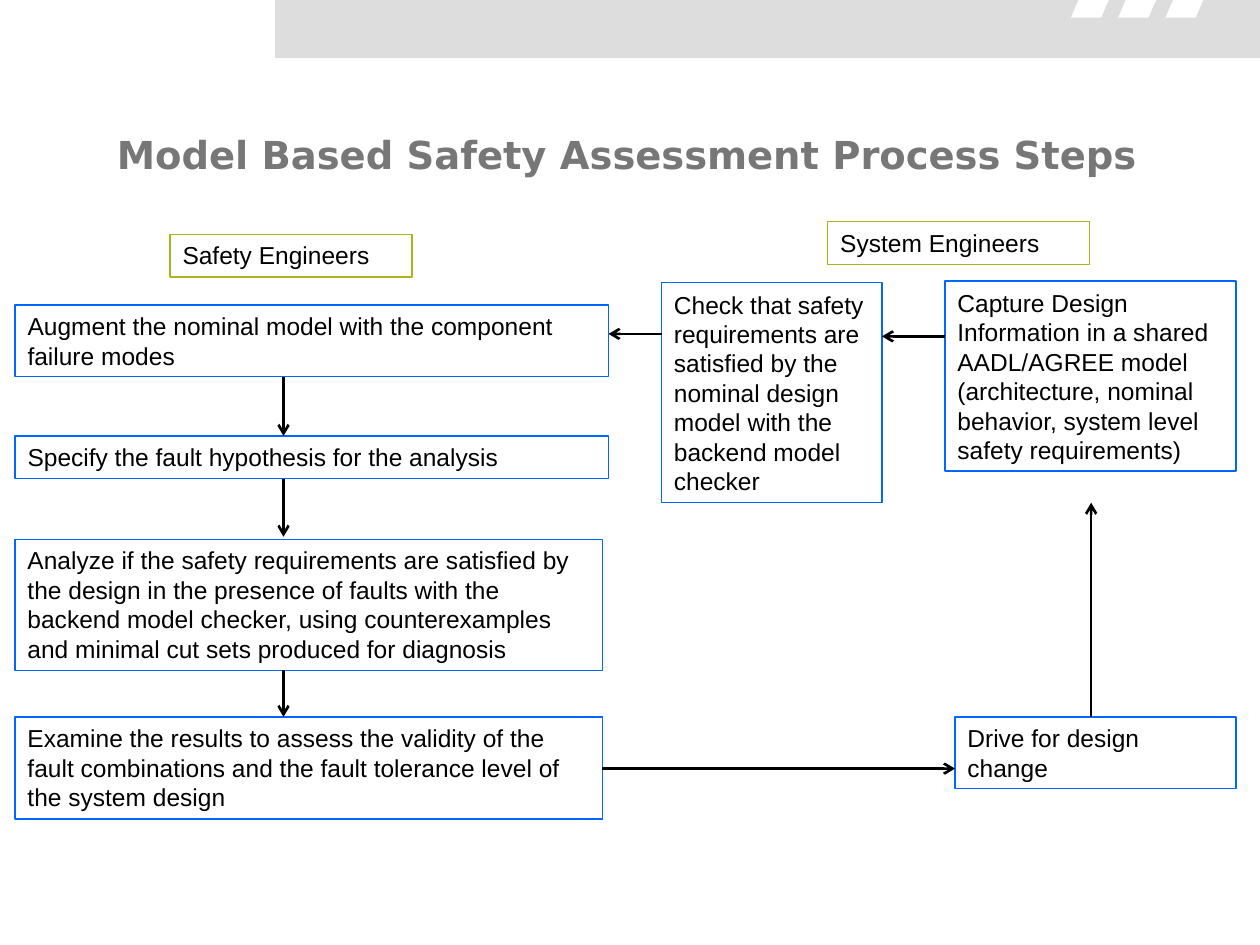
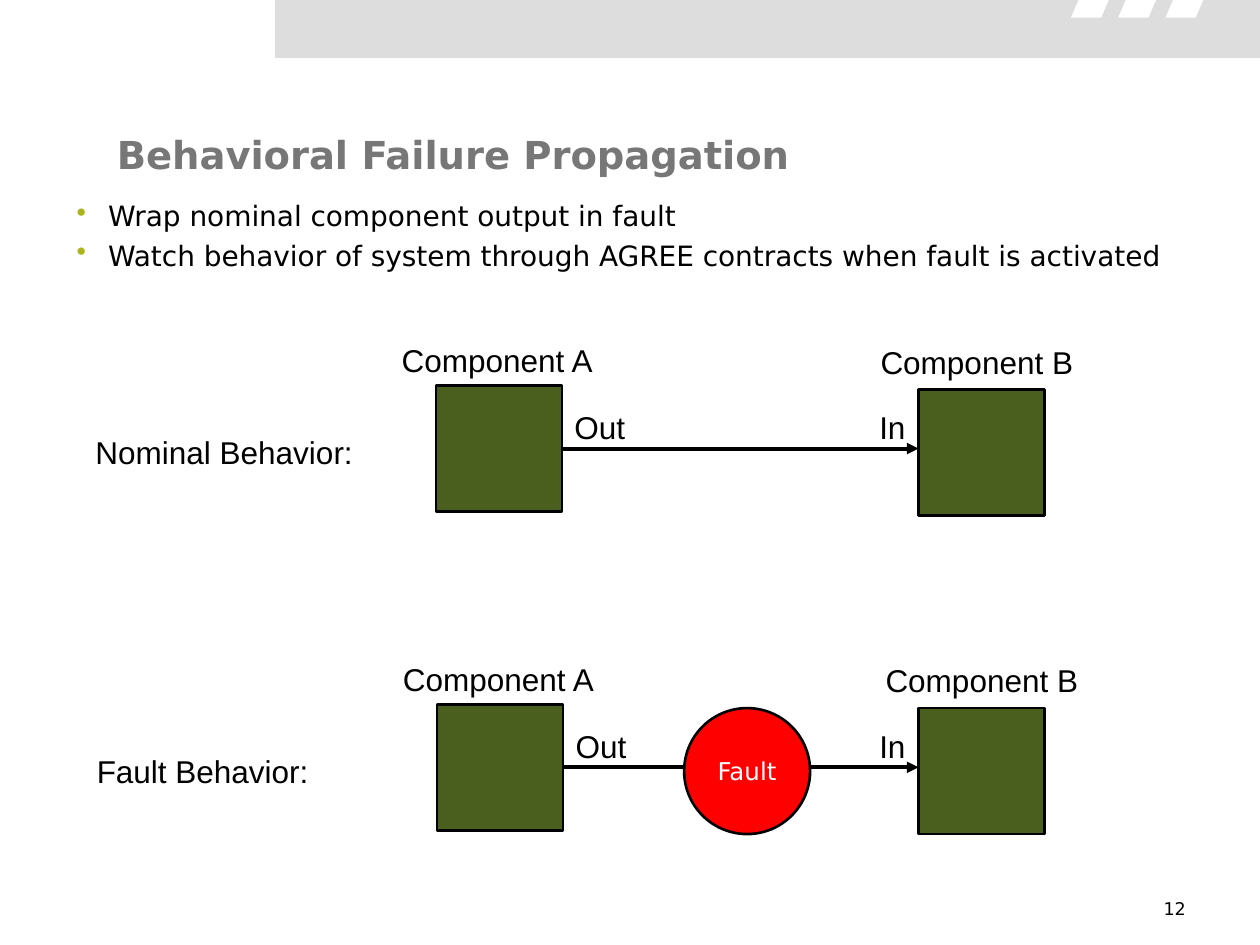
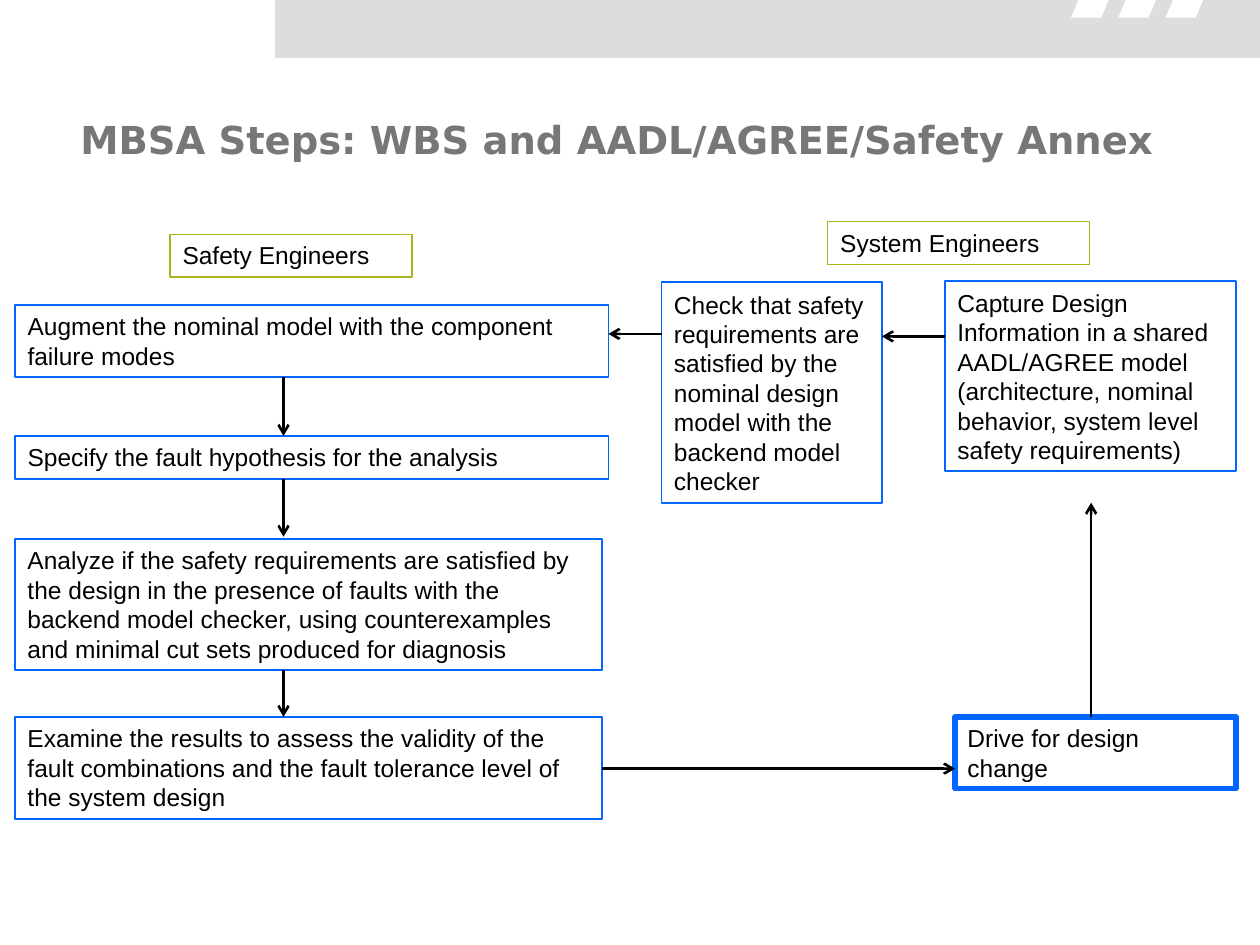
import dataclasses

import lxml.etree
import pptx
import pptx.dml.color
import pptx.enum.shapes
import pptx.enum.text
import pptx.oxml.ns
import pptx.util

SHAPE = pptx.enum.shapes.MSO_SHAPE
ANCHOR = pptx.enum.text.MSO_ANCHOR
ALIGN = pptx.enum.text.PP_ALIGN
Inches = pptx.util.Inches
Pt = pptx.util.Pt
qn = pptx.oxml.ns.qn


@dataclasses.dataclass(frozen=True)
class Theme:
    heading_font: str = "DejaVu Sans"
    body_font: str = "Arial"
    black: str = "000000"
    white: str = "FFFFFF"
    band: str = "DDDDDD"
    title: str = "777777"
    accent: str = "ABB41D"
    step: str = "0066FF"
    component: str = "4A5F1D"
    fault: str = "FF0000"
    title_size: int = 22
    label_size: int = 18
    bullet_size: int = 16
    step_size: int = 14
    number_size: int = 10


T = Theme()
WIDTH, HEIGHT = 10, 7.5
BAND_HEIGHT = 0.46
SLASH_LEFT, SLASH_PITCH, SLASH_COUNT = 8.5, 0.375, 3
FLOW_X = 2.25

ROLES = [
    ("Safety Engineers", (1.35, 1.86, 1.92, 0.34)),
    ("System Engineers", (6.57, 1.76, 2.08, 0.34)),
]

STEPS = {
    "capture": ("Capture Design Information in a shared AADL/AGREE model "
                "(architecture, nominal behavior, system level safety requirements)",
                (7.5, 2.23, 2.31, 1.51)),
    "check": ("Check that safety requirements are satisfied by the nominal design "
              "model with the backend model checker", (5.25, 2.24, 1.75, 1.75)),
    "augment": ("Augment the nominal model with the component failure modes",
                (0.12, 2.42, 4.71, 0.57)),
    "specify": ("Specify the fault hypothesis for the analysis",
                (0.12, 3.46, 4.71, 0.34)),
    "analyze": ("Analyze if the safety requirements are satisfied by the design in "
                "the presence of faults with the backend model checker, using "
                "counterexamples and minimal cut sets produced for diagnosis",
                (0.12, 4.28, 4.66, 1.04)),
    "examine": ("Examine the results to assess the validity of the fault "
                "combinations and the fault tolerance level of the system design",
                (0.12, 5.69, 4.66, 0.81)),
    "drive": ("Drive for design change", (7.58, 5.69, 2.23, 0.57)),
}

FLOWS = [
    ("capture", "check", "left", 2.67, 0),
    ("check", "augment", "left", 2.65, 0),
    ("augment", "specify", "down", FLOW_X, 0),
    ("specify", "analyze", "down", FLOW_X, 0.02),
    ("analyze", "examine", "down", FLOW_X, 0),
    ("examine", "drive", "right", 6.1, 0),
    ("drive", "capture", "up", 8.66, 0.25),
]

PROCESS_SLIDE = {
    "title": "Model Based Safety Assessment Process Steps",
    "title_box": (0.83, 0.95, 8.5, 0.55),
    "weight": 0.75,
    "emphasis": {"capture": 1},
}
ANNEX_SLIDE = {
    "title": "MBSA Steps: WBS and AADL/AGREE/Safety Annex",
    "title_box": (0.54, 0.83, 9, 0.55),
    "weight": 1,
    "emphasis": {"drive": 3},
}
PROPAGATION_SLIDE = {
    "title": "Behavioral Failure Propagation",
    "title_box": PROCESS_SLIDE["title_box"],
    "bullets": [
        "Wrap nominal component output in fault",
        "Watch behavior of system through AGREE contracts when fault is activated",
    ],
    "number": "12",
}

SCENARIOS = [
    {"label": "Nominal Behavior:", "label_box": (0.66, 2.33), "top": 3.06,
     "a_left": 3.46, "b_label_left": 6.89, "fault": None},
    {"label": "Fault Behavior:", "label_box": (0.67, 1.97), "top": 5.59,
     "a_left": 3.47, "b_label_left": 6.93, "fault": "Fault"},
]


def rgb(value):
    return pptx.dml.color.RGBColor.from_string(value)


def write(sp, lines, size, color=T.black, font=T.body_font, bold=False,
          align=ALIGN.LEFT, anchor=ANCHOR.TOP, wrap=True):
    tf = sp.text_frame
    tf.word_wrap = wrap
    tf.vertical_anchor = anchor
    tf.text = "\n".join(lines)
    for p in tf.paragraphs:
        p.alignment = align
        for r in p.runs:
            r.font.name, r.font.size, r.font.bold = font, Pt(size), bold
            r.font.color.rgb = rgb(color)
    return sp


def add_text(s, box, lines, size, **style):
    sp = s.shapes.add_textbox(*map(Inches, box))
    return write(sp, lines, size, **style)


def paint(sp, fill=None, line=None, weight=0.75):
    sp.shadow.inherit = False
    if fill:
        sp.fill.solid()
        sp.fill.fore_color.rgb = rgb(fill)
    else:
        sp.fill.background()
    if line:
        sp.line.color.rgb = rgb(line)
        sp.line.width = Pt(weight)
    else:
        sp.line.fill.background()
    return sp


def add_box(s, kind, box, **look):
    return paint(s.shapes.add_shape(kind, *map(Inches, box)), **look)


def add_outline(s, points, fill):
    (x, y), *rest = [tuple(map(Inches, point)) for point in points]
    builder = s.shapes.build_freeform(x, y)
    builder.add_line_segments(rest, close=True)
    paint(builder.convert_to_shape(), fill=fill)


def add_arrow(s, start, end, weight, head):
    sp = s.shapes.add_connector(pptx.enum.shapes.MSO_CONNECTOR.STRAIGHT,
                                *map(Inches, start + end))
    sp.line.color.rgb = rgb(T.black)
    sp.line.width = Pt(weight)
    properties = sp.element.spPr
    lxml.etree.SubElement(properties.find(qn("a:ln")), qn("a:tailEnd"), type=head)
    lxml.etree.SubElement(properties, qn("a:effectLst"))


def add_bullets(s, box, lines):
    sp = add_text(s, box, lines, T.bullet_size, font=T.heading_font)
    for p in sp.text_frame.paragraphs:
        pPr = p._p.get_or_add_pPr()
        pPr.set("marL", str(Inches(0.26)))
        pPr.set("indent", str(Inches(-0.25)))
        before = lxml.etree.SubElement(pPr, qn("a:spcBef"))
        lxml.etree.SubElement(before, qn("a:spcPct"), val="20000")
        color = lxml.etree.SubElement(pPr, qn("a:buClr"))
        lxml.etree.SubElement(color, qn("a:srgbClr"), val=T.accent)
        lxml.etree.SubElement(pPr, qn("a:buChar"), char="•")


def start_slide(prs, content):
    s = prs.slides.add_slide(prs.slide_layouts[6])
    add_outline(s, [(1.92, BAND_HEIGHT), (WIDTH, BAND_HEIGHT), (WIDTH, 0), (2.12, 0)],
                T.band)
    for i in range(SLASH_COUNT):
        x = SLASH_LEFT + i * SLASH_PITCH
        add_outline(s, [(x, 0.14), (x + 0.06, 0), (x + 0.3, 0), (x + 0.24, 0.14)],
                    T.white)
    add_box(s, SHAPE.RECTANGLE, (0, 0.01, 2.17, 0.48),
            fill=T.white, line=T.white, weight=2)
    add_text(s, content["title_box"], [content["title"]], T.title_size,
             color=T.title, font=T.heading_font, bold=True, anchor=ANCHOR.MIDDLE)
    return s


def flow_ends(source, target, side, position, gap):
    x1, y1, w1, h1 = STEPS[source][1]
    x2, y2, w2, h2 = STEPS[target][1]
    return {
        "left": ((x1, position), (x2 + w2 + gap, position)),
        "right": ((x1 + w1, position), (x2 - gap, position)),
        "down": ((position, y1 + h1), (position, y2 - gap)),
        "up": ((position, y1), (position, y2 + h2 + gap)),
    }[side]


def add_process_slide(prs, content):
    s = start_slide(prs, content)
    for text, box in ROLES:
        write(add_box(s, SHAPE.RECTANGLE, box, line=T.accent), [text], T.step_size)
    for name, (text, box) in STEPS.items():
        weight = content["emphasis"].get(name, content["weight"])
        sp = add_box(s, SHAPE.RECTANGLE, box, line=T.step, weight=weight)
        middle = name in ("capture", "check", "augment")
        write(sp, [text], T.step_size, anchor=ANCHOR.MIDDLE if middle else ANCHOR.TOP)
    for flow in FLOWS:
        add_arrow(s, *flow_ends(*flow), weight=1.5, head="arrow")


def add_scenario(s, scenario):
    top, a_left, b_left = scenario["top"], scenario["a_left"], 7.29
    wire_y = top + 0.5
    for x, y in [(a_left, top), (b_left, top + 0.03)]:
        add_box(s, SHAPE.RECTANGLE, (x, y, 1, 1),
                fill=T.component, line=T.black, weight=1.5)
    add_arrow(s, (a_left + 1, wire_y), (b_left, wire_y), weight=2.25, head="triangle")
    label_left, label_width = scenario["label_box"]
    labels = [
        ("Component A", a_left - 0.37, top - 0.4, 1.73),
        ("Component B", scenario["b_label_left"], top - 0.39, 1.74),
        ("Out", a_left + 1, top + 0.13, 0.61),
        ("In", 6.88, top + 0.13, 0.41),
        (scenario["label"], label_left, top + 0.33, label_width),
    ]
    for text, x, y, w in labels:
        add_text(s, (x, y, w, 0.4), [text], T.label_size, wrap=False)
    if scenario["fault"]:
        sp = add_box(s, SHAPE.OVAL, (5.43, top + 0.03, 1, 1),
                     fill=T.fault, line=T.black, weight=1.5)
        write(sp, [scenario["fault"]], T.step_size, color=T.white,
              font=T.heading_font, align=ALIGN.CENTER, anchor=ANCHOR.MIDDLE)


def add_propagation_slide(prs, content):
    s = start_slide(prs, content)
    add_bullets(s, (0.5, 1.53, 9, 5.21), content["bullets"])
    for scenario in SCENARIOS:
        add_scenario(s, scenario)
    add_text(s, (8.58, 7.08, 0.93, 0.27), [content["number"]], T.number_size,
             font=T.heading_font, align=ALIGN.RIGHT)


def main():
    prs = pptx.Presentation()
    prs.slide_width, prs.slide_height = Inches(WIDTH), Inches(HEIGHT)
    add_process_slide(prs, PROCESS_SLIDE)
    add_propagation_slide(prs, PROPAGATION_SLIDE)
    add_process_slide(prs, ANNEX_SLIDE)
    prs.save("out.pptx")


if __name__ == "__main__":
    main()
